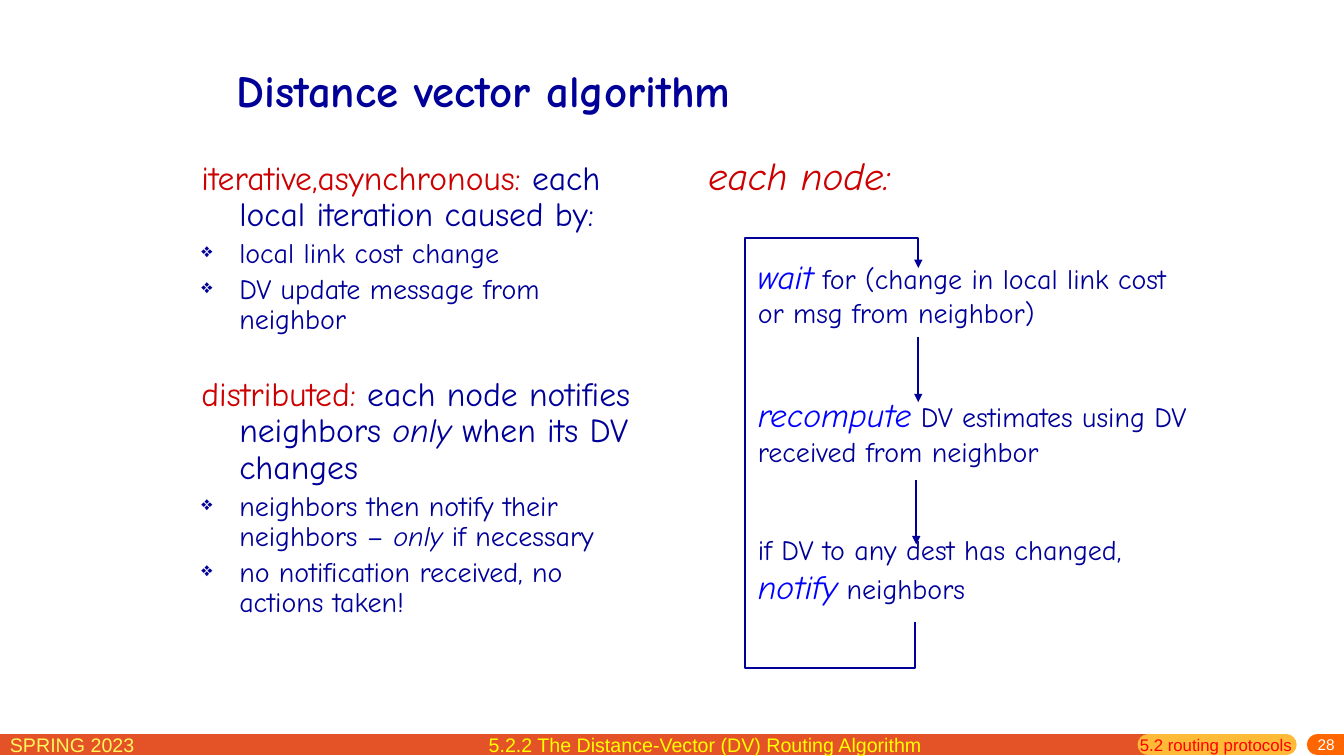
"""Builds the slide on the distance vector algorithm."""
from lxml import etree
from pptx import Presentation
from pptx import util as u
from pptx.dml.color import RGBColor
from pptx.enum import shapes, text
from pptx.oxml.ns import qn

COLORS = {"navy": "000099", "red": "CC0000", "blue": "0000FF", "bar": "E45327",
          "amber": "FFBA37", "orange": "FF6600", "date": "FFF65C",
          "yellow": "FFFF00", "label": "FF0000", "white": "FFFFFF"}
BODY, FOOT = "Comic Neue", "Arial"
LEFT, CENTER, RIGHT = text.PP_ALIGN.LEFT, text.PP_ALIGN.CENTER, text.PP_ALIGN.RIGHT
BAR_Y = 532.08

FOOTER_BARS = [(0, 820.08, "bar", "flat"), (820.08, 918.72, "amber", "rnd"),
               (941.04, 960, "orange", "rnd")]

# Box, alignment, anchored in the middle, font, run
LABELS = [
    ((0, 519.84, 164.88, 22.32), LEFT, False, FOOT, ("SPRING 2023", 14, "date", "")),
    ((774, 527.04, 186.48, 12.96), RIGHT, True, FOOT, ("28", 11, "white", "")),
    ((493.92, 104.4, 154.08, 41.04), CENTER, False, BODY, ("each node:", 28, "red", "i")),
    ((162, 18.72, 612, 90), LEFT, True, BODY,
     ("Distance vector algorithm", 32, "navy", "b")),
    ((807.12, 521.28, 132.48, 22.32), LEFT, False, FOOT,
     ("5.2 routing protocols", 12, "label", "")),
    ((342, 519.84, 330, 24.48), LEFT, False, FOOT,
     ("5.2.2 The Distance-Vector (DV) Routing Algorithm", 14, "yellow", "")),
]

# Space before, bulleted, runs
PROPERTIES = [
    (0, False, [("iterative,asynchronous: ", 24, "red", ""),
                ("each local iteration caused by:", 24, "navy", "")]),
    (4, True, [("local link cost change", 20, "navy", "")]),
    (4, True, [("DV update message from neighbor", 20, "navy", "")]),
    (30, False, [("distributed: ", 24, "red", ""),
                 ("each node notifies neighbors ", 24, "navy", ""),
                 ("only", 24, "navy", "i"),
                 (" when its DV changes", 24, "navy", "")]),
    (4, True, [("neighbors then notify their neighbors – ", 20, "navy", ""),
               ("only ", 20, "navy", "i"), ("if necessary", 20, "navy", "")]),
    (4, True, [("no notification received, no actions taken!", 20, "navy", "")]),
]

NODE_STEPS = [
    [("wait", 24, "blue", "i"),
     (" for (change in local link cost or msg from neighbor)", 20, "navy", "")],
    [("recompute", 24, "blue", "i"),
     (" DV estimates using DV received from neighbor", 20, "navy", "")],
    [("if DV to any dest has changed, ", 20, "navy", ""),
     ("notify", 24, "blue", "i"), (" neighbors", 20, "navy", "")],
]
STEP_GAP = 46

STEP_ARROWS = [(655.92, 240.48, 287.28), (654.48, 342.72, 388.8)]
LOOP = [(653.76, 444.24), (653.76, 477.36), (532.08, 477.36),
        (532.08, 169.92), (655.92, 169.92), (655.92, 191.52)]


def rgb(name):
    return RGBColor.from_string(COLORS[name])


def add_box(s, box, middle=False):
    tf = s.shapes.add_textbox(*map(u.Pt, box)).text_frame
    tf.word_wrap = True
    if middle:
        tf.vertical_anchor = text.MSO_ANCHOR.MIDDLE
    return tf


def add_runs(p, runs, font):
    for words, size, color, style in runs:
        r = p.add_run()
        r.text = words
        r.font.name, r.font.size = font, u.Pt(size)
        r.font.color.rgb = rgb(color)
        r.font.bold, r.font.italic = style == "b", style == "i"


def add_paragraphs(tf, items):
    for i, (before, runs) in enumerate(items):
        p = tf.add_paragraph() if i else tf.paragraphs[0]
        p.space_before = u.Pt(before)
        add_runs(p, runs, BODY)
    return tf.paragraphs


def hang(p, bulleted):
    p.line_spacing = 0.9
    pPr = p._p.get_or_add_pPr()
    pPr.set("marL", str(u.Pt(27)))
    pPr.set("indent", str(-u.Pt(27)))
    if bulleted:
        etree.SubElement(pPr, qn("a:buSzPct")).set("val", "70000")
        etree.SubElement(pPr, qn("a:buChar")).set("char", "❖")
    else:
        etree.SubElement(pPr, qn("a:buNone"))


def style_line(sp, color, width, arrow=False, cap="flat"):
    sp.line.color.rgb = rgb(color)
    sp.line.width = u.Pt(width)
    ln = sp.line._get_or_add_ln()
    ln.set("cap", cap)
    if arrow:
        etree.SubElement(ln, qn("a:tailEnd")).set("type", "triangle")


def add_line(s, start, end, *style, **options):
    sp = s.shapes.add_connector(shapes.MSO_CONNECTOR.STRAIGHT,
                                *map(u.Pt, start + end))
    style_line(sp, *style, **options)
    etree.SubElement(sp._element.spPr, qn("a:effectLst"))


def main():
    prs = Presentation()
    prs.slide_width, prs.slide_height = u.Pt(960), u.Pt(540)
    s = prs.slides.add_slide(prs.slide_layouts[6])

    for x1, x2, color, cap in FOOTER_BARS:
        add_line(s, (x1, BAR_Y), (x2, BAR_Y), color, 15, cap=cap)

    tf = add_box(s, (136.8, 111.6, 325.44, 365.76))
    paragraphs = add_paragraphs(tf, [(before, runs) for before, _, runs in PROPERTIES])
    for p, (_, bulleted, _) in zip(paragraphs, PROPERTIES):
        hang(p, bulleted)

    tf = add_box(s, (534.24, 179, 325.44, 270))
    add_paragraphs(tf, [(STEP_GAP if i else 0, runs)
                        for i, runs in enumerate(NODE_STEPS)])

    for x, top, bottom in STEP_ARROWS:
        add_line(s, (x, top), (x, bottom), "navy", 1.5, arrow=True)

    points = [(u.Pt(x), u.Pt(y)) for x, y in LOOP]
    builder = s.shapes.build_freeform(*points[0])
    builder.add_line_segments(points[1:], close=False)
    sp = builder.convert_to_shape()
    sp.shadow.inherit = False
    sp.fill.background()
    style_line(sp, "navy", 1.5, arrow=True)

    for box, align, middle, font, run in LABELS:
        tf = add_box(s, box, middle)
        if middle and font == FOOT:
            tf.margin_top = 0
        p = tf.paragraphs[0]
        p.alignment = align
        add_runs(p, [run], font)

    prs.save("out.pptx")


if __name__ == "__main__":
    main()
